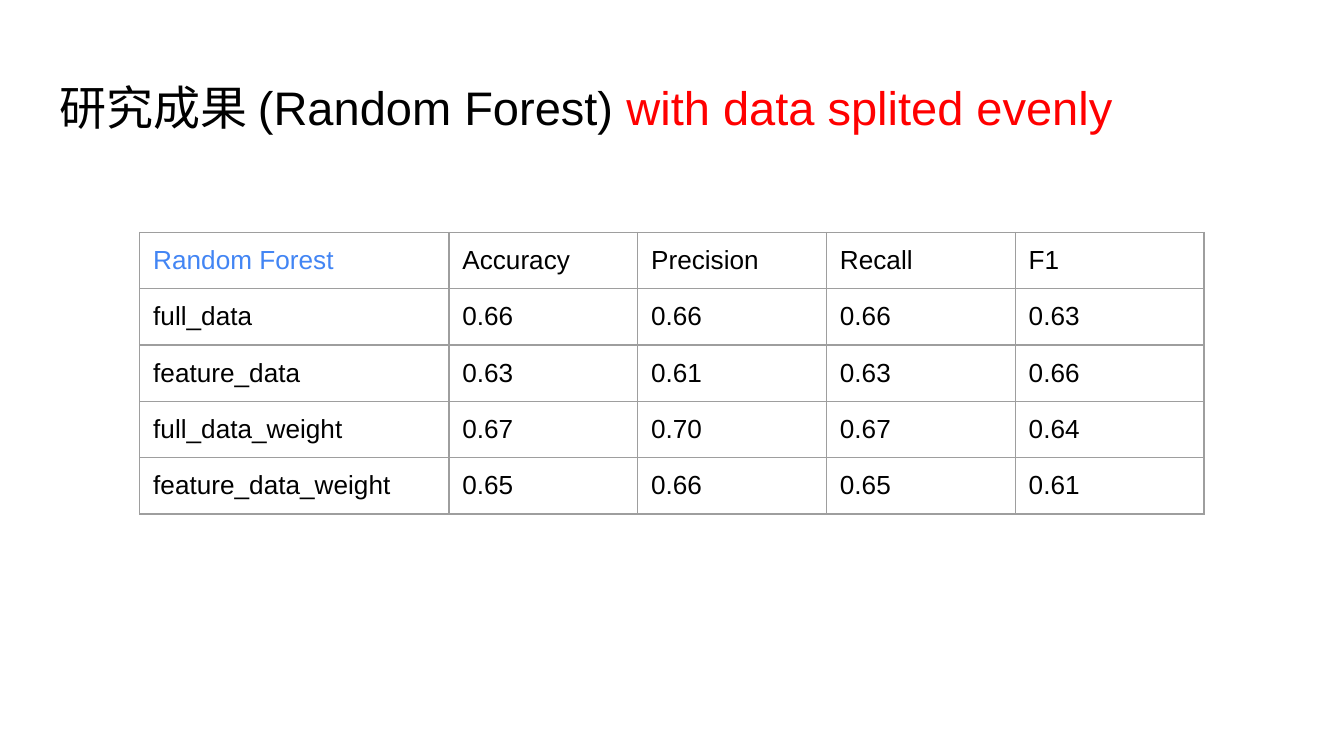
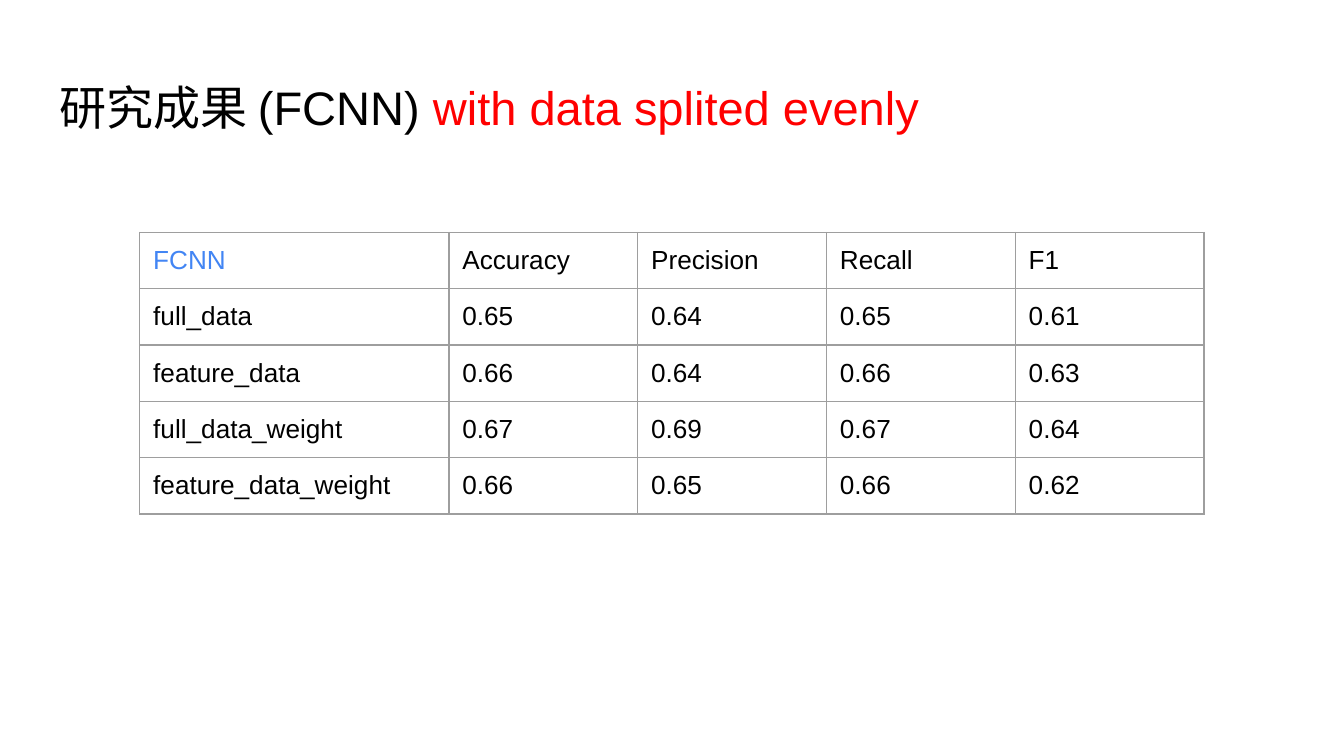
from dataclasses import dataclass

from lxml.etree import SubElement
from pptx import Presentation
from pptx.dml.color import RGBColor as RGB
from pptx.enum.text import MSO_ANCHOR as ANCHOR, MSO_AUTO_SIZE as AUTO, PP_ALIGN as ALIGN
from pptx.oxml.ns import qn
from pptx.util import Emu, Pt

EMU_PER_PX = 4572  # 200 px to the inch


def px(n):
    return Emu(n * EMU_PER_PX)


@dataclass(frozen=True)
class Theme:
    font: str = "Arial"
    text: str = "000000"
    alert: str = "FF0000"
    model: str = "4285F4"
    border: str = "9E9E9E"
    title_size: float = 25.2
    cell_size: float = 14
    border_width: float = 0.75
    inset: int = 20


THEME = Theme()
SLIDE_WIDTH, SLIDE_HEIGHT = 2000, 1125
TITLE_BOX = (68, 97, 1864, 125)
TABLE_LEFT, TABLE_TOP = 208, 346
COLUMN_WIDTHS = [460] + [281] * 4
ROW_HEIGHT = 83
METRICS = ["Accuracy", "Precision", "Recall", "F1"]
DATASETS = ["full_data", "feature_data", "full_data_weight", "feature_data_weight"]

RESULTS = {
    "Random Forest": [
        (0.66, 0.66, 0.66, 0.63),
        (0.63, 0.61, 0.63, 0.66),
        (0.67, 0.70, 0.67, 0.64),
        (0.65, 0.66, 0.65, 0.61),
    ],
    "FCNN": [
        (0.65, 0.64, 0.65, 0.61),
        (0.66, 0.64, 0.66, 0.63),
        (0.67, 0.69, 0.67, 0.64),
        (0.66, 0.65, 0.66, 0.62),
    ],
}


def set_attrs(obj, values):
    for name, value in values.items():
        setattr(obj, name, value)


def set_insets(obj):
    sides = ("left", "top", "right", "bottom")
    set_attrs(obj, {f"margin_{side}": px(THEME.inset) for side in sides})


def add_run(p, text, size, color):
    r = p.add_run()
    r.text = text
    set_attrs(r.font, {"name": THEME.font, "size": Pt(size), "bold": False})
    r.font.color.rgb = RGB.from_string(color)


def add_title(s, model):
    sp = s.shapes.title
    set_attrs(sp, dict(zip(("left", "top", "width", "height"), map(px, TITLE_BOX))))
    tf = sp.text_frame
    set_insets(tf)
    set_attrs(tf, {"word_wrap": True, "auto_size": AUTO.NONE,
                   "vertical_anchor": ANCHOR.TOP})
    p = tf.paragraphs[0]
    p.alignment = ALIGN.LEFT
    add_run(p, f"研究成果 ({model}) ", THEME.title_size, THEME.text)
    add_run(p, "with data splited evenly", THEME.title_size, THEME.alert)


def set_borders(cell):
    """Draw the four cell edges; they must precede the fill in tcPr."""
    tc_pr = cell._tc.get_or_add_tcPr()
    for i, edge in enumerate(("lnL", "lnR", "lnT", "lnB")):
        ln = SubElement(tc_pr, qn(f"a:{edge}"), w=str(Pt(THEME.border_width)))
        fill = SubElement(ln, qn("a:solidFill"))
        SubElement(fill, qn("a:srgbClr"), val=THEME.border)
        tc_pr.insert(i, ln)


def add_results_table(s, model, scores):
    rows = [[model, *METRICS]]
    rows += [[name, *(f"{v:.2f}" for v in values)]
             for name, values in zip(DATASETS, scores)]
    table = s.shapes.add_table(
        len(rows), len(COLUMN_WIDTHS), px(TABLE_LEFT), px(TABLE_TOP),
        px(sum(COLUMN_WIDTHS)), px(ROW_HEIGHT * len(rows))).table
    set_attrs(table, {"first_row": False, "horz_banding": False})
    for column, width in zip(table.columns, COLUMN_WIDTHS):
        column.width = px(width)
    for i, row in enumerate(rows):
        for j, text in enumerate(row):
            cell = table.cell(i, j)
            set_insets(cell)
            cell.vertical_anchor = ANCHOR.TOP
            cell.fill.background()
            set_borders(cell)
            color = THEME.model if i == j == 0 else THEME.text
            add_run(cell.text_frame.paragraphs[0], text, THEME.cell_size, color)


def main():
    prs = Presentation()
    set_attrs(prs, {"slide_width": px(SLIDE_WIDTH), "slide_height": px(SLIDE_HEIGHT)})
    title_only = prs.slide_layouts[5]
    for model, scores in RESULTS.items():
        s = prs.slides.add_slide(title_only)
        add_title(s, model)
        add_results_table(s, model, scores)
    prs.save("out.pptx")


if __name__ == "__main__":
    main()
